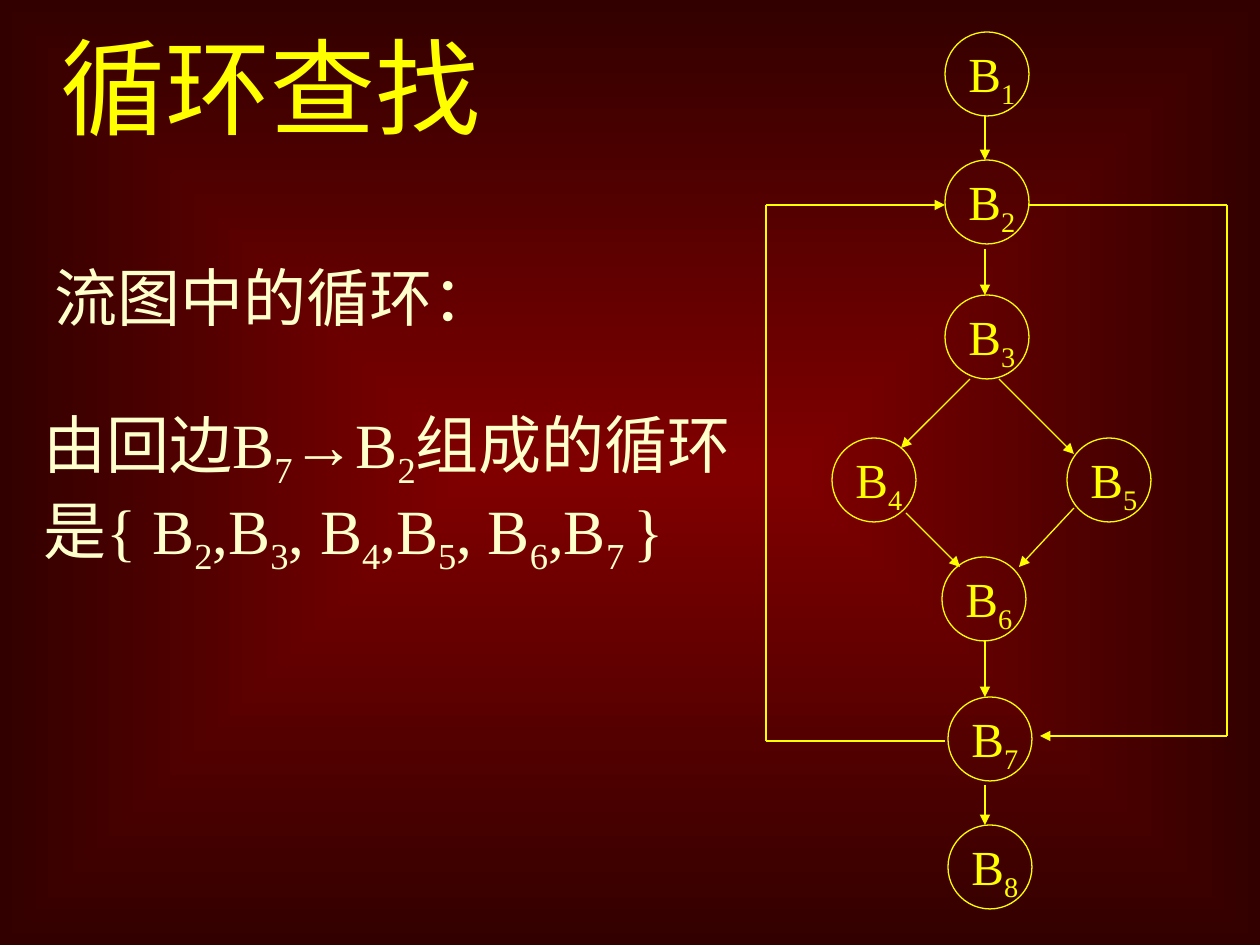
from itertools import pairwise

from lxml.etree import SubElement
from pptx import Presentation
from pptx.dml.color import RGBColor
from pptx.enum.shapes import MSO_CONNECTOR, MSO_SHAPE
from pptx.enum.text import MSO_ANCHOR as ANCHOR, MSO_AUTO_SIZE as FIT, PP_ALIGN as ALIGN
from pptx.oxml.ns import qn
from pptx.util import Pt

PX = 914400 // 126
YELLOW, CREAM = "FFFF00", "FFFFCC"
GRADIENT = [(0, "800000"), (1, "330000")]
CJK, LATIN = "Noto Sans CJK SC", "Times New Roman"

TITLE = ("循环查找", (48, 16, 480, 139))
NOTES = [
    ("流图中的循环：", (42, 252, 630, 88)),
    ("由回边B|7|→B|2|组成的循环是{ B|2|,B|3|, B|4|,B|5|, B|6|,B|7 |}", (31, 399, 719, 271)),
]
DIAMETER = 84
BLOCKS = {
    1: (945, 32), 2: (945, 160), 3: (945, 295), 4: (832, 438),
    5: (1067, 438), 6: (942, 557), 7: (948, 697), 8: (948, 825),
}
EDGES = [
    [(985, 116), (985, 160)],
    [(985, 249), (985, 295)],
    [(970, 379), (901, 448)],
    [(999, 379), (1074, 454)],
    [(906, 513), (960, 567)],
    [(1074, 508), (1019, 567)],
    [(985, 641), (985, 697)],
    [(985, 785), (985, 825)],
    [(945, 741), (766, 741), (766, 205), (945, 205)],
    [(1029, 205), (1227, 205), (1227, 736), (1040, 736)],
]


def emu(lengths):
    return [length * PX for length in lengths]


def rgb(value):
    return RGBColor.from_string(value)


def write(frame, text, size, color, latin=LATIN, wrap=True):
    frame_format = {"word_wrap": wrap, "auto_size": FIT.NONE, "vertical_anchor": ANCHOR.TOP}
    for name, value in frame_format.items():
        setattr(frame, name, value)
    line = frame.paragraphs[0]
    line.alignment = ALIGN.LEFT
    for index, part in enumerate(text.split("|")):
        run = line.add_run()
        run.text = part
        for name, value in {"size": Pt(size), "name": latin}.items():
            setattr(run.font, name, value)
        run.font.color.rgb = rgb(color)
        props = run._r.get_or_add_rPr()
        SubElement(props, qn("a:ea"), typeface=CJK)
        if index % 2:
            props.set("baseline", "-25000")


def paint_background(slide):
    fill = slide.background.fill
    fill.gradient()
    for stop, (position, color) in zip(fill.gradient_stops, GRADIENT):
        stop.position = position
        stop.color.rgb = rgb(color)
    gradient = slide.element.find(".//" + qn("a:gradFill"))
    gradient.remove(gradient.find(qn("a:lin")))
    center = SubElement(gradient, qn("a:path"), path="rect")
    SubElement(center, qn("a:fillToRect"), dict.fromkeys("ltrb", "50000"))


def outline(shape):
    shape.line.color.rgb = rgb(YELLOW)
    shape.line.width = Pt(0.75)


def add_block(shapes, number, left, top):
    circle = shapes.add_shape(MSO_SHAPE.OVAL, *emu((left, top, DIAMETER, DIAMETER)))
    circle.shadow.inherit = False
    circle.fill.background()
    outline(circle)
    label = shapes.add_textbox(*emu((left + 11, top + 5, 72, 79)))
    write(label.text_frame, f"B|{number}", 28, YELLOW, wrap=False)


def add_edge(shapes, points):
    for start, end in pairwise(points):
        segment = shapes.add_connector(MSO_CONNECTOR.STRAIGHT, *emu(start + end))
        outline(segment)
        if end == points[-1]:
            SubElement(segment.line._get_or_add_ln(), qn("a:tailEnd"), type="triangle")
        SubElement(segment.element.spPr, qn("a:effectLst"))


def main():
    deck = Presentation()
    deck.slide_width, deck.slide_height = emu((1260, 945))
    slide = deck.slides.add_slide(deck.slide_layouts[5])
    paint_background(slide)

    heading, box = TITLE
    title = slide.shapes.title
    for name, value in zip(("left", "top", "width", "height"), emu(box)):
        setattr(title, name, value)
    write(title.text_frame, heading, 60, YELLOW, latin=CJK, wrap=False)

    for text, box in NOTES:
        write(slide.shapes.add_textbox(*emu(box)).text_frame, text, 36, CREAM)
    for number, corner in BLOCKS.items():
        add_block(slide.shapes, number, *corner)
    for points in EDGES:
        add_edge(slide.shapes, points)
    deck.save("out.pptx")


if __name__ == "__main__":
    main()
